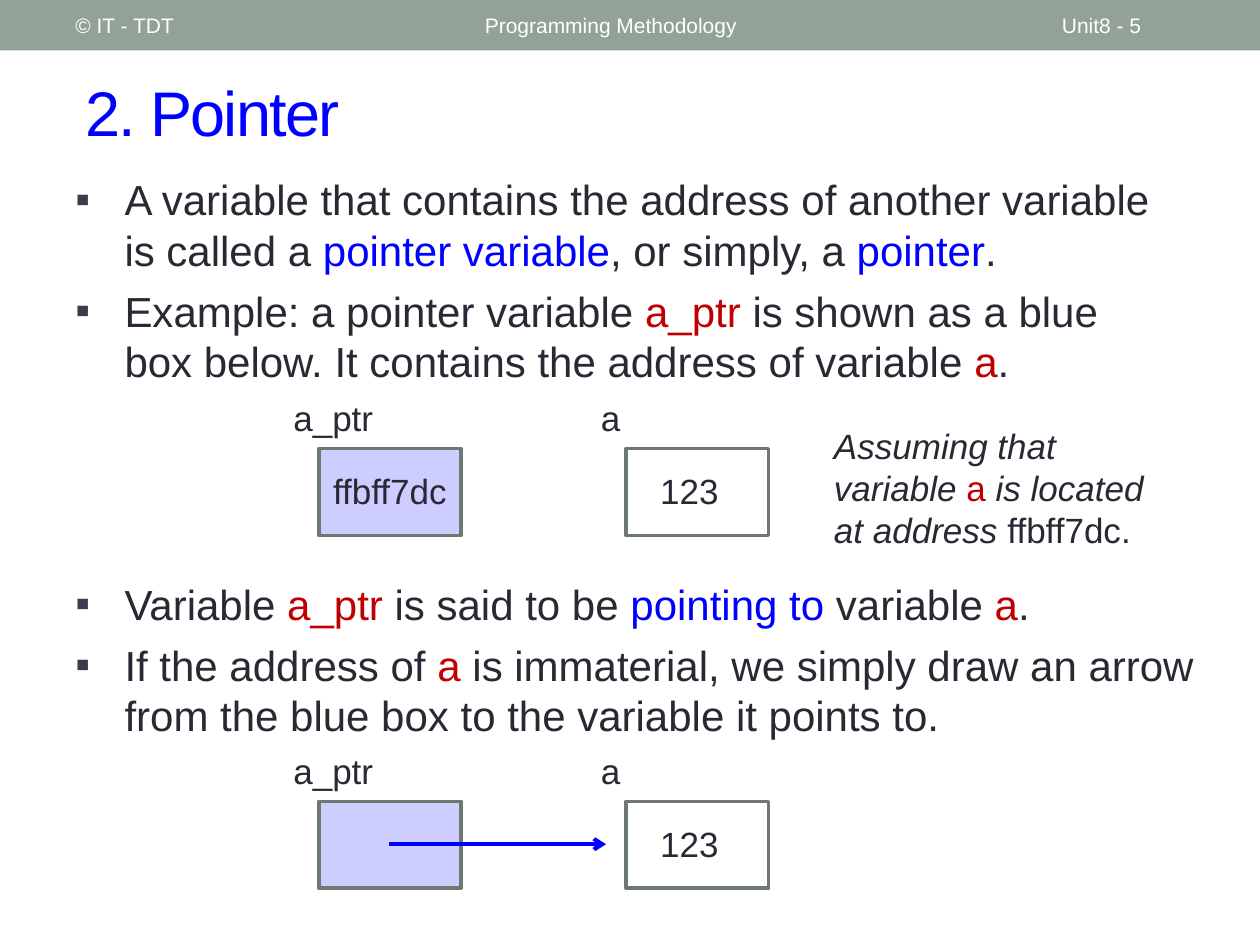
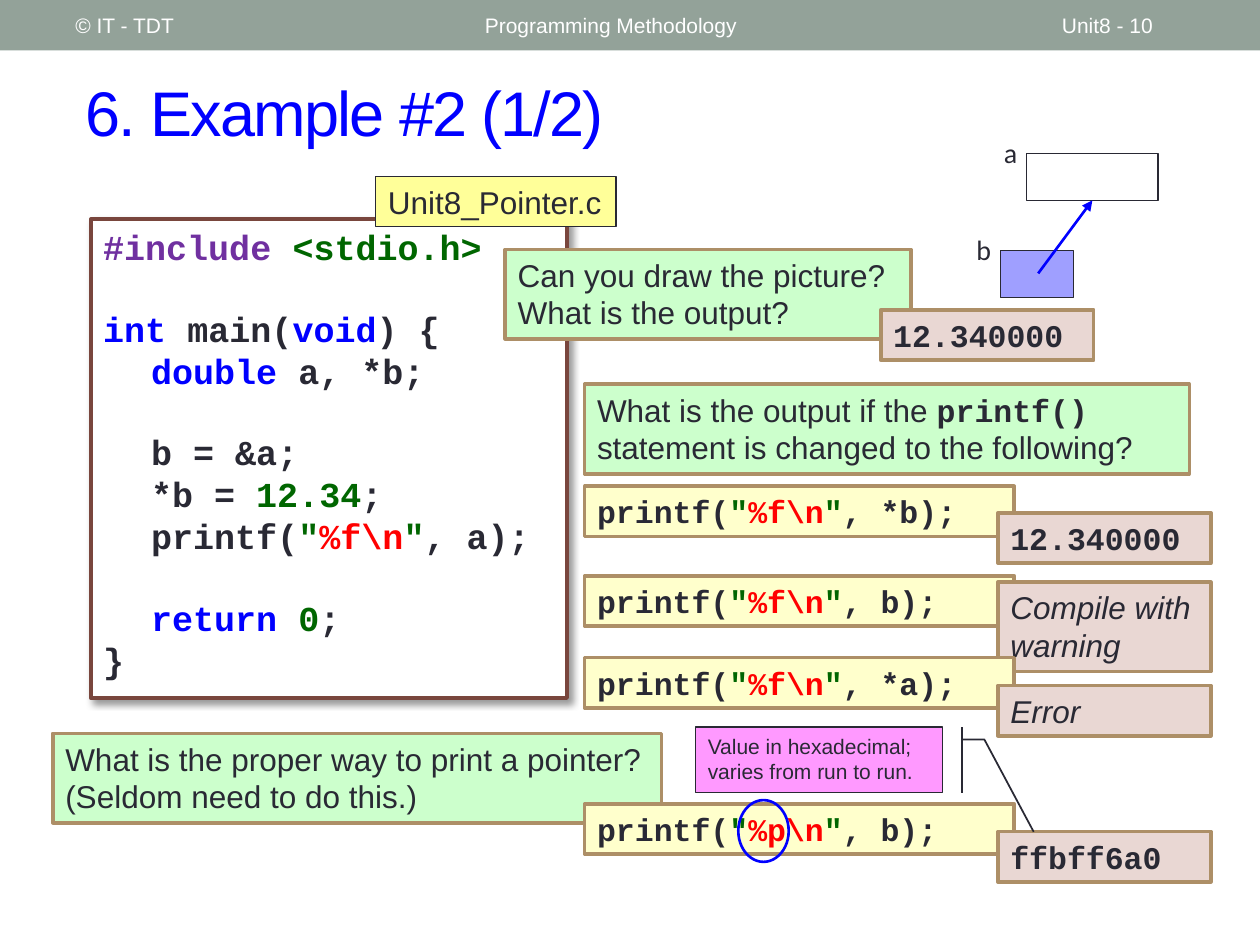
from dataclasses import dataclass

from lxml.etree import SubElement
from pptx import Presentation
from pptx.dml.color import RGBColor
from pptx.enum.shapes import MSO_CONNECTOR, MSO_SHAPE
from pptx.enum.text import MSO_ANCHOR, MSO_AUTO_SIZE, PP_ALIGN
from pptx.oxml.ns import qn
from pptx.util import Inches, Pt


@dataclass(frozen=True)
class Theme:
    sans: str = "Arial"
    mono: str = "Courier New"
    label: str = "Calibri"
    title_size: int = 36
    body_size: int = 24
    diagram_size: int = 20
    box_size: int = 18
    label_size: int = 16
    small_size: int = 12
    blank_line: float = 22.66
    thin: float = 0.75
    medium: float = 1.5
    thick: float = 2.08
    arrow: float = 2.25
    text: str = "292934"
    blue: str = "0000FF"
    red: str = "C00000"
    string: str = "006600"
    escape: str = "FF0000"
    directive: str = "7030A0"
    white: str = "FFFFFF"
    band: str = "93A299"
    bullet: str = "3B3B4B"
    cell_line: str = "6D7871"
    pointer_fill: str = "CDCDFF"
    small_pointer_fill: str = "9F9FFF"
    code_line: str = "79463D"
    box_line: str = "AD8F67"
    file_fill: str = "FFFF99"
    question_fill: str = "CCFFCC"
    statement_fill: str = "FFFFCC"
    answer_fill: str = "E9D7D3"
    note_fill: str = "FF99FF"


THEME = Theme()


@dataclass(frozen=True)
class Box:
    left: float
    top: float
    width: float
    height: float

    def inner(self, left, top, width, height):
        return Box(self.left + left, self.top + top, width, height)

    def lengths(self):
        return [Inches(n) for n in (self.left, self.top, self.width, self.height)]


def key(text):
    return text, {"color": THEME.blue}


def name(text):
    return text, {"color": THEME.red}


def literal(text):
    return text, {"color": THEME.string}


def format_string(text):
    return [literal('"'), (text, {"color": THEME.escape}), literal('"')]


def printf(escape, argument):
    return ["printf(", *format_string(escape), f", {argument});"]


def add_bullet(paragraph):
    properties = paragraph._p.get_or_add_pPr()
    properties.set("marL", str(Inches(0.39)))
    properties.set("indent", str(Inches(-0.39)))
    color = SubElement(properties, qn("a:buClr"))
    SubElement(color, qn("a:srgbClr"), val=THEME.bullet)
    SubElement(properties, qn("a:buFont"), typeface=THEME.sans)
    SubElement(properties, qn("a:buChar"), char="▪")


def write(shape, paragraphs, size=THEME.box_size, font=THEME.sans, color=THEME.text,
          bold=False, italic=False, align=PP_ALIGN.LEFT, anchor=MSO_ANCHOR.TOP,
          wrap=True, before=0, bullet=False, tracking=None):
    frame = shape.text_frame
    frame.word_wrap = wrap
    frame.auto_size = MSO_AUTO_SIZE.NONE
    frame.vertical_anchor = anchor
    for index, runs in enumerate(paragraphs):
        paragraph = frame.paragraphs[0] if index == 0 else frame.add_paragraph()
        paragraph.alignment = align
        paragraph.space_before = Pt(before)
        if bullet:
            add_bullet(paragraph)
        for item in runs:
            text, changes = (item, {}) if isinstance(item, str) else item
            look = dict(font=font, color=color, bold=bold, italic=italic) | changes
            run = paragraph.add_run()
            run.text = text
            run.font.size = Pt(size)
            run.font.name = look["font"]
            run.font.bold = look["bold"]
            run.font.italic = look["italic"]
            run.font.color.rgb = RGBColor.from_string(look["color"])
            if tracking is not None:
                run.font._element.set("spc", str(tracking * 100))
    return shape


def add_text(shapes, box, paragraphs, **format):
    return write(shapes.add_textbox(*box.lengths()), paragraphs, **format)


def add_box(shapes, box, fill=None, line=None, weight=THEME.thick,
            kind=MSO_SHAPE.RECTANGLE, paragraphs=(), **format):
    shape = shapes.add_shape(kind, *box.lengths())
    shape.shadow.inherit = False
    if fill:
        shape.fill.solid()
        shape.fill.fore_color.rgb = RGBColor.from_string(fill)
    else:
        shape.fill.background()
    if line:
        shape.line.color.rgb = RGBColor.from_string(line)
        shape.line.width = Pt(weight)
    else:
        shape.line.fill.background()
    return write(shape, paragraphs, **format)


def add_arrow(shapes, start, end, weight, head):
    points = [Inches(n) for n in (*start, *end)]
    arrow = shapes.add_connector(MSO_CONNECTOR.STRAIGHT, *points)
    arrow.line.color.rgb = RGBColor.from_string(THEME.blue)
    arrow.line.width = Pt(weight)
    SubElement(arrow.line._get_or_add_ln(), qn("a:tailEnd"), type=head)
    SubElement(arrow._element.spPr, qn("a:effectLst"))
    return arrow


def add_code_shadow(shape):
    effects = shape._element.spPr.find(qn("a:effectLst"))
    shadow = SubElement(effects, qn("a:outerShdw"), blurRad=str(Pt(4)), dist=str(Pt(3)),
                        dir=str(45 * 60000), algn="tl", rotWithShape="0")
    color = SubElement(shadow, qn("a:srgbClr"), val="000000")
    SubElement(color, qn("a:alpha"), val="40000")


def add_band(layout, slide):
    band = add_box(slide.shapes, Box(0, 0, 10, 0.4), fill=THEME.band)
    layout.shapes._spTree.insert(2, band._element)


def start_slide(presentation, title, number):
    layout = presentation.slide_layouts[5]
    slide = presentation.slides.add_slide(layout)
    if len(presentation.slides) == 1:
        add_band(layout, slide)
    heading = slide.shapes.title
    heading.left, heading.top, heading.width, heading.height = Box(0.58, 0.42, 9.17, 0.92).lengths()
    write(heading, [[title]], size=THEME.title_size, color=THEME.blue,
          anchor=MSO_ANCHOR.MIDDLE, tracking=-1)
    headers = [(3.75, 4.5, "Programming Methodology"), (8.33, 1.17, f"Unit8 - {number}"),
               (0.5, 3.17, "© IT - TDT")]
    for left, width, text in headers:
        add_text(slide.shapes, Box(left, 0.02, width, 0.36), [[text]], size=THEME.small_size,
                 color=THEME.white, anchor=MSO_ANCHOR.MIDDLE)
    return slide


def add_bullets(slide, box, paragraphs):
    add_text(slide.shapes, box, paragraphs, size=THEME.body_size, before=6, bullet=True)


def add_memory_diagram(slide, box, address=None):
    shapes = slide.shapes.add_group_shape().shapes
    size = THEME.diagram_size
    cells = [(2.44, None, "a", 0.56), (0, THEME.pointer_fill, "a_ptr", 0.86)]
    for left, fill, label, width in cells:
        add_box(shapes, box.inner(left + 0.3, 0.46, 1.13, 0.69), fill=fill, line=THEME.cell_line)
        add_text(shapes, box.inner(left, 0, width, 0.44), [[label]], size=size)
    add_text(shapes, box.inner(2.91, 0.58, 0.78, 0.44), [["123"]], size=size)
    if address:
        add_text(shapes, box.inner(0.3, 0.58, 1.13, 0.44), [[address]], size=size,
                 align=PP_ALIGN.CENTER)
        remark = ["Assuming that variable ", ("a", {"color": THEME.red, "italic": False}),
                  " is located at address ", (f"{address}.", {"italic": False})]
        add_text(shapes, box.inner(4.29, 0.22, 2.91, 1.11), [remark], size=size, italic=True)
    else:
        middle = box.top + 0.8
        add_arrow(shapes, (box.left + 0.86, middle), (box.left + 2.58, middle),
                  THEME.arrow, "arrow")


def add_program(slide, box):
    shapes = slide.shapes.add_group_shape().shapes
    lines = [
        (0, 0, [("#include ", {"color": THEME.directive}), literal("<stdio.h>")]),
        (1, 0, [key("int"), " main(", key("void"), ") {"]),
        (0, 1, [key("double"), " a, *b;"]),
        (1, 1, ["b = &a;"]),
        (0, 1, ["*b = ", literal("12.34"), ";"]),
        (0, 1, printf("%f\\n", "a")),
        (1, 1, [key("return "), literal("0"), ";"]),
        (0, 0, ["}"]),
    ]
    code = add_box(shapes, box, fill=THEME.white, line=THEME.code_line,
                   paragraphs=[runs for _, _, runs in lines],
                   size=THEME.diagram_size, font=THEME.mono, bold=True)
    for paragraph, (gap, level, _) in zip(code.text_frame.paragraphs, lines):
        paragraph.space_before = Pt(gap * THEME.blank_line)
        paragraph._p.get_or_add_pPr().set("marL", str(Inches(level * 0.38)))
    add_code_shadow(code)
    add_box(shapes, box.inner(2.26, -0.34, 1.91, 0.4), fill=THEME.file_fill, line=THEME.text,
            weight=THEME.thin, paragraphs=[["Unit8_Pointer.c"]], wrap=False)


def add_question(slide, box, paragraphs):
    add_box(slide.shapes, box, THEME.question_fill, THEME.box_line, paragraphs=paragraphs)


def add_answer(slide, box, text, is_output=True):
    look = dict(font=THEME.mono, bold=True) if is_output else dict(italic=True)
    add_box(slide.shapes, box, THEME.answer_fill, THEME.box_line, paragraphs=[[text]], **look)


def add_statement(slide, box, statement, answer, drop, answer_height=0.4, is_output=True):
    add_box(slide.shapes, box, THEME.statement_fill, THEME.box_line,
            paragraphs=[statement], font=THEME.mono, bold=True)
    add_answer(slide, box.inner(3.28, drop, 1.69, answer_height), answer, is_output)


def add_pointer_sketch(slide, box):
    shapes = slide.shapes.add_group_shape().shapes
    cells = [("a", 0.22, 0, 0.28, 1.04, None),
             ("b", 0, 0.77, 0.29, 0.58, THEME.small_pointer_fill)]
    drawn = {}
    for label, left, top, offset, width, fill in cells:
        add_text(shapes, box.inner(left, top, 0.37, 0.37), [[label]],
                 size=THEME.label_size, font=THEME.label)
        drawn[label] = add_box(shapes, box.inner(left + offset, top + 0.19, width, 0.37),
                               fill=fill, line=THEME.text, weight=THEME.thin)
    arrow = add_arrow(shapes, (box.left + 0.59, box.top + 1.14),
                      (box.left + 1.02, box.top + 0.56), THEME.medium, "triangle")
    arrow.end_connect(drawn["a"], 2)


def add_hexadecimal_note(slide, box):
    note = add_box(slide.shapes, box, THEME.note_fill, THEME.text, weight=1,
                   kind=MSO_SHAPE.LINE_CALLOUT_2_BORDER_AND_ACCENT_BAR,
                   paragraphs=[["Value in hexadecimal; varies from run to run."]],
                   size=THEME.small_size)
    for index, value in enumerate((0.19, -0.08, 0.19, -0.17, 1.6, -0.37)):
        note.adjustments[index] = value
    note._element.spPr.find(qn("a:xfrm")).set("flipH", "1")


def build_pointer_slide(presentation):
    slide = start_slide(presentation, "2. Pointer", 5)
    add_bullets(slide, Box(0.5, 1.33, 8.76, 2.16), [
        ["A variable that contains the address of another variable is called a ",
         key("pointer variable"), ", or simply, a ", key("pointer"), "."],
        ["Example: a pointer variable ", name("a_ptr"),
         " is shown as a blue box below. It contains the address of variable ", name("a"), "."],
    ])
    add_bullets(slide, Box(0.5, 4.54, 9.11, 1.41), [
        ["Variable ", name("a_ptr"), " is said to be ", key("pointing to "),
         "variable ", name("a"), "."],
        ["If the address of ", name("a"), " is immaterial, we simply draw an arrow "
         "from the blue box to the variable it points to."],
    ])
    add_memory_diagram(slide, Box(2.23, 3.1, 7.2, 1.33), "ffbff7dc")
    add_memory_diagram(slide, Box(2.23, 5.9, 3.87, 1.15))


def build_example_slide(presentation):
    slide = start_slide(presentation, "6. Example #2 (1/2)", 10)
    add_program(slide, Box(0.72, 1.74, 3.78, 3.8))
    add_question(slide, Box(4.01, 1.98, 3.22, 0.71),
                 [["Can you draw the picture?"], ["What is the output?"]])
    add_answer(slide, Box(6.99, 2.46, 1.69, 0.4), "12.340000")
    add_question(slide, Box(4.64, 3.05, 4.8, 0.71), [
        ["What is the output if the ", ("printf() ", {"font": THEME.mono, "bold": True}),
         "statement is changed to the following?"]])
    add_question(slide, Box(0.42, 5.82, 4.83, 0.71),
                 [["What is the proper way to print a pointer? (Seldom need to do this.)"]])
    statements = [
        (3.86, "%f\\n", "*b", "12.340000", 0.21, 0.4, True),
        (4.57, "%f\\n", "b", "Compile with warning", 0.05, 0.71, False),
        (5.22, "%f\\n", "*a", "Error", 0.22, 0.4, False),
        (6.38, "%p\\n", "b", "ffbff6a0", 0.22, 0.4, True),
    ]
    for top, escape, argument, *answer in statements:
        add_statement(slide, Box(4.64, top, 3.41, 0.4), printf(escape, argument), *answer)
    add_pointer_sketch(slide, Box(7.65, 1.03, 1.54, 1.33))
    add_box(slide.shapes, Box(5.86, 6.35, 0.4, 0.49), line=THEME.blue,
            weight=THEME.medium, kind=MSO_SHAPE.OVAL)
    add_hexadecimal_note(slide, Box(5.52, 5.77, 1.96, 0.52))


def main():
    presentation = Presentation()
    presentation.slide_width = Inches(10)
    presentation.slide_height = Inches(7.5)
    build_pointer_slide(presentation)
    build_example_slide(presentation)
    presentation.save("out.pptx")


if __name__ == "__main__":
    main()
